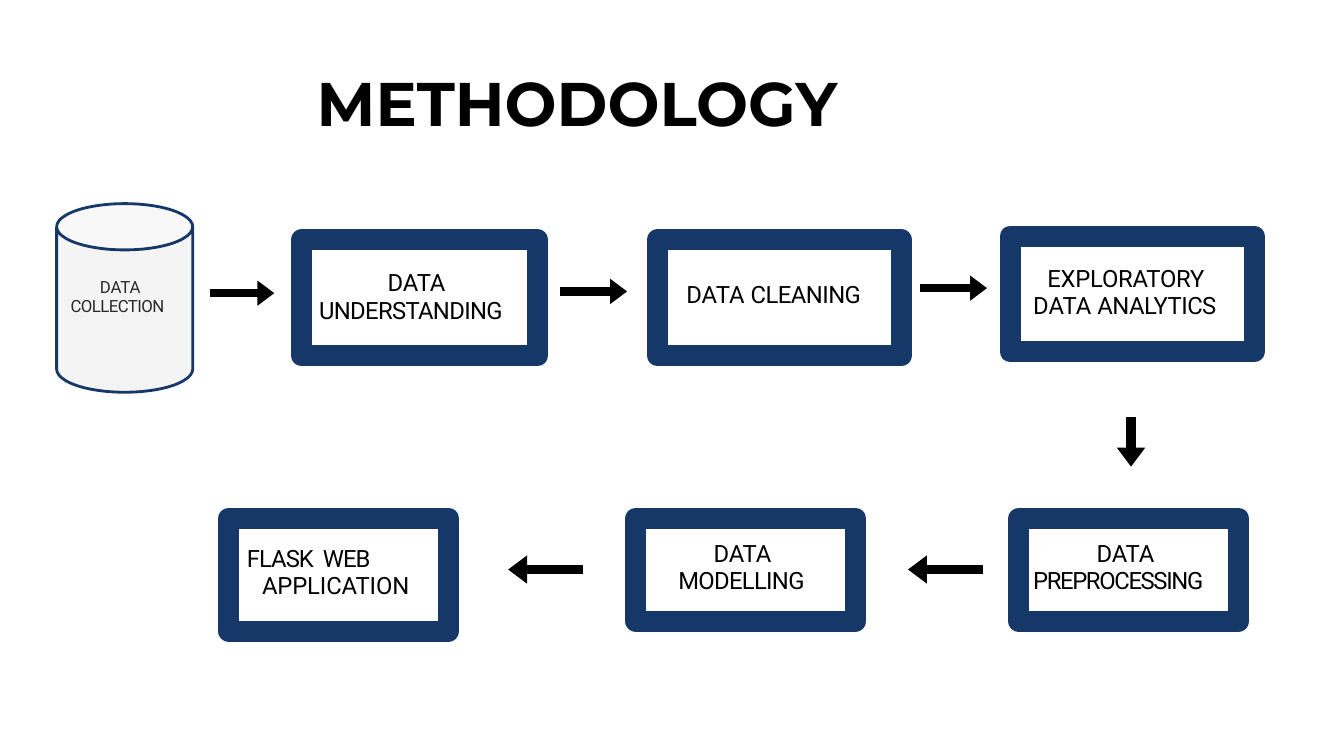
import pptx
import pptx.dml.color
import pptx.enum.shapes
import pptx.enum.text
import pptx.oxml
import pptx.oxml.ns
import pptx.util

COLUMNS, ROWS = 32, 18
NAVY, BLACK, CHARCOAL, PALE = "153869", "000000", "292929", "F4F4F4"


def colour(value):
    return pptx.dml.color.RGBColor.from_string(value)


def element(tag, **attributes):
    node = pptx.oxml.parse_xml(f"<a:{tag} {pptx.oxml.ns.nsdecls('a')}/>")
    for name, value in attributes.items():
        node.set(name, value)
    return node


class FlowPage:
    heading_font = "Montserrat"
    body_font = "Roboto"

    def __init__(self, deck):
        self.page = deck.slides.add_slide(deck.slide_layouts[5])
        self.cell_width = deck.slide_width / COLUMNS
        self.cell_height = deck.slide_height / ROWS

    def across(self, columns):
        return pptx.util.Emu(round(columns * self.cell_width))

    def down(self, rows):
        return pptx.util.Emu(round(rows * self.cell_height))

    def area(self, column, row, width, height):
        return self.across(column), self.down(row), self.across(width), self.down(height)

    def frame_text(self, box, top, anchor):
        frame = box.text_frame
        frame.word_wrap = True
        frame.auto_size = pptx.enum.text.MSO_AUTO_SIZE.NONE
        frame.vertical_anchor = anchor
        frame.margin_left = frame.margin_right = frame.margin_bottom = 0
        frame.margin_top = self.down(top)
        para = frame.paragraphs[0]
        para.alignment = pptx.enum.text.PP_ALIGN.LEFT
        return para

    def indent(self, para, margin, first):
        properties = para._p.get_or_add_pPr()
        properties.set("marL", str(self.across(margin)))
        properties.set("indent", str(self.across(first)))

    def style_font(self, para, name, size, shade, bold=False):
        para.font.name = name
        para.font.size = pptx.util.Pt(size)
        para.font.bold = bold
        para.font.color.rgb = colour(shade)

    def title(self, text, place, margin):
        box = self.page.shapes.title
        box.left, box.top, box.width, box.height = self.area(*place)
        para = self.frame_text(box, 0.96, pptx.enum.text.MSO_ANCHOR.MIDDLE)
        para.text = text
        self.indent(para, margin, 0)
        self.style_font(para, self.heading_font, 44, BLACK, True)

    def shape(self, kind, place, fill, weight):
        box = self.page.shapes.add_shape(kind, *self.area(*place))
        box.shadow.inherit = False
        if fill:
            box.fill.solid()
            box.fill.fore_color.rgb = colour(fill)
        else:
            box.fill.background()
        box.line.color.rgb = colour(NAVY)
        box.line.width = pptx.util.Pt(weight)
        return box

    def step(self, place):
        box = self.shape(pptx.enum.shapes.MSO_SHAPE.RECTANGLE, place, None, 15)
        box.line._get_or_add_ln().append(element("round"))

    def store(self, place):
        cylinder = self.shape(pptx.enum.shapes.MSO_SHAPE.CAN, place, PALE, 2)
        cylinder.adjustments[0] = 0.34

    def label(self, place, indents, spans, size=17, leading=19.5, shade=BLACK):
        box = self.page.shapes.add_textbox(*self.area(*place))
        para = self.frame_text(box, 0.07, pptx.enum.text.MSO_ANCHOR.TOP)
        para.line_spacing = pptx.util.Pt(leading)
        self.indent(para, *indents)
        self.style_font(para, self.body_font, size, shade)
        for text, tracking in spans:
            span = para.add_run()
            span.text = text
            span._r.get_or_add_rPr().set("spc", str(tracking))

    def arrow(self, start, end, weight):
        line = self.page.shapes.add_connector(
            pptx.enum.shapes.MSO_CONNECTOR.STRAIGHT,
            self.across(start[0]), self.down(start[1]),
            self.across(end[0]), self.down(end[1]))
        line.line.color.rgb = colour(BLACK)
        line.line.width = pptx.util.Pt(weight)
        line.line._get_or_add_ln().append(
            element("tailEnd", type="triangle", w="med", len="sm"))
        line._element.spPr.append(element("effectLst"))


STEPS = [
    ((7.18, 5.71, 5.62, 2.76), (7.58, 6.34, 4.78, 1.42), (0.02, 1.63),
     [("DATA ", -10), ("UNDERSTANDING", -50)]),
    ((15.65, 5.71, 5.81, 2.76), (16.32, 6.62, 4.46, 0.72), (0.02, 0),
     [("DATA ", 0), ("CLEANING", -40)]),
    ((24.05, 5.62, 5.81, 2.76), (24.58, 6.24, 4.73, 1.42), (0.02, 0.34),
     [("EXPLORATORY ", -20), ("DATA ", 0), ("ANALYTICS", -40)]),
    ((24.26, 12.34, 5.23, 2.45), (24.58, 12.79, 4.58, 1.42), (0.02, 1.51),
     [("DATA ", -10), ("PREPROCESSING", -100)]),
    ((15.14, 12.34, 5.23, 2.45), (15.14, 12.79, 5.4, 1.42), (1.01, 0.84),
     [("DATA ", -10), ("MODELLING", -50)]),
    ((5.45, 12.34, 5.23, 2.69), (5.86, 12.91, 4.39, 1.34), (0.38, -0.36),
     [("FLASK  WEB ", -70), ("APPLICATION", -10)]),
]

ARROWS = [
    ((4.99, 6.98), (6.53, 6.98), 6),
    ((13.34, 6.94), (14.93, 6.94), 6),
    ((21.91, 6.86), (23.5, 6.86), 6),
    ((26.93, 9.94), (26.93, 11.11), 6.75),
    ((23.4, 13.56), (21.62, 13.56), 6.75),
    ((13.87, 13.56), (12.1, 13.56), 6.75),
]


def main():
    deck = pptx.Presentation()
    deck.slide_width = pptx.util.Inches(13.33)
    deck.slide_height = pptx.util.Inches(7.5)
    flow = FlowPage(deck)
    flow.title("METHODOLOGY", (1.32, 0.58, 28.13, 2.74), 6.22)
    flow.store((1.35, 4.85, 3.24, 4.49))
    flow.label((1.66, 6.53, 2.47, 1.01), (0.02, 0.7),
               [("DATA ", -10), ("COLLECTION", -40)], 12, 13.9, CHARCOAL)
    for frame, place, indents, spans in STEPS:
        flow.step(frame)
        flow.label(place, indents, spans)
    for start, end, weight in ARROWS:
        flow.arrow(start, end, weight)
    deck.save("out.pptx")


if __name__ == "__main__":
    main()
